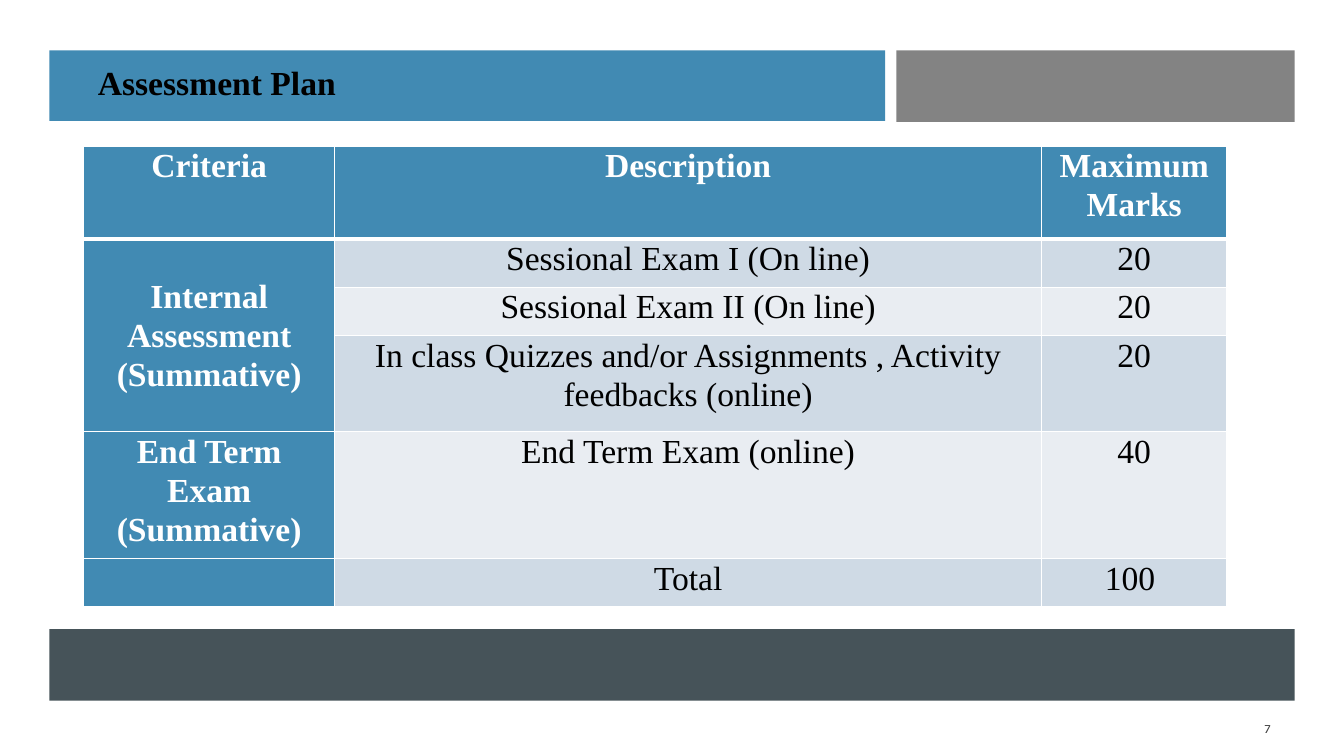
from dataclasses import dataclass

from lxml import etree
from pptx import Presentation
from pptx import util as u
from pptx.dml.color import RGBColor
from pptx.enum import shapes, text
from pptx.oxml import ns


@dataclass(frozen=True)
class Theme:
    blue: str = "418AB3"
    gray: str = "838383"
    slate: str = "465359"
    band: str = "CFDAE5"
    pale: str = "E9EDF2"
    white: str = "FFFFFF"
    black: str = "000000"
    ink: str = "404040"
    serif: str = "Times New Roman"
    sans: str = "Karla"
    main: int = 24
    small: int = 9


@dataclass(frozen=True)
class Bar:
    left: float
    top: float
    width: float
    height: float
    fill: str


@dataclass(frozen=True)
class Row:
    height: float
    label: str
    detail: str
    marks: str


T = Theme()
BARS = [
    Bar(0.49, 0.5, 8.29, 0.7, T.blue),
    Bar(8.89, 0.5, 3.95, 0.71, T.gray),
    Bar(0.49, 6.24, 12.35, 0.71, T.slate),
]
ROWS = [
    Row(0.92, "Criteria", "Description", "Maximum Marks"),
    Row(0.48, "Internal Assessment\v(Summative)", "Sessional Exam I (On line)", "20"),
    Row(0.48, "", "Sessional Exam II (On line)", "20"),
    Row(0.95, "", "In class Quizzes and/or Assignments , Activity feedbacks (online)", "20"),
    Row(0.95, "End Term Exam\n(Summative)", "End Term Exam (online)", "40"),
    Row(0.48, "", "Total", "100 "),
]
COLS = [2.49, 7.01, 1.84]


def apply(obj, vals: dict) -> None:
    for name, val in vals.items():
        setattr(obj, name, val)


def paint(fill, color: str) -> None:
    fill.solid()
    fill.fore_color.rgb = RGBColor.from_string(color)


def style(frame, face: str, size: int, color: str, bold: bool, align, space: float = 1.0) -> None:
    for para in frame.paragraphs:
        apply(para, {"alignment": align, "line_spacing": space})
        for run in para.runs:
            apply(run.font, {"name": face, "size": u.Pt(size), "bold": bold})
            run.font.color.rgb = RGBColor.from_string(color)


def place(shape, left: float, top: float, width: float, height: float) -> None:
    box = {"left": left, "top": top, "width": width, "height": height}
    apply(shape, {name: u.Inches(val) for name, val in box.items()})


def border(cell, widths: dict[str, int]) -> None:
    props = cell._tc.get_or_add_tcPr()
    for spot, (side, width) in enumerate(widths.items()):
        line = etree.Element(ns.qn(f"a:ln{side}"), w=str(u.Pt(width)))
        solid = etree.SubElement(line, ns.qn("a:solidFill"))
        etree.SubElement(solid, ns.qn("a:srgbClr"), val=T.white)
        props.insert(spot, line)


def draw_bar(slide, bar: Bar) -> None:
    shape = slide.shapes.add_shape(
        shapes.MSO_SHAPE.RECTANGLE,
        *(u.Inches(n) for n in (bar.left, bar.top, bar.width, bar.height)))
    shape.shadow.inherit = False
    paint(shape.fill, bar.fill)
    shape.line.fill.background()


def draw_cell(cell, words: str, row: int, col: int) -> None:
    head = row == 0 or col == 0
    side = u.Inches(0.07)
    apply(cell, {"margin_left": side, "margin_right": side, "margin_top": 0,
                 "margin_bottom": 0, "vertical_anchor": text.MSO_ANCHOR.TOP})
    cell.text_frame.text = words
    style(cell.text_frame, T.serif, T.main, T.white if head else T.black,
          head, text.PP_ALIGN.CENTER, 1.05)
    paint(cell.fill, T.blue if head else T.band if row % 2 else T.pale)
    border(cell, {"L": 1, "R": 1, "T": 3 if row == 1 else 1, "B": 3 if row == 0 else 1})


def draw_table(slide, rows: list[Row]) -> None:
    sizes = (0.83, 1.45, sum(COLS), sum(r.height for r in rows))
    grid = slide.shapes.add_table(len(rows), len(COLS), *(u.Inches(n) for n in sizes)).table
    for col, width in zip(grid.columns, COLS):
        col.width = u.Inches(width)
    for r, row in enumerate(rows):
        grid.rows[r].height = u.Inches(row.height)
        for c, words in enumerate((row.label, row.detail, row.marks)):
            draw_cell(grid.cell(r, c), words, r, c)
    # Internal assessment covers three rows
    group = grid.cell(1, 0)
    group.merge(grid.cell(3, 0))
    group.vertical_anchor = text.MSO_ANCHOR.MIDDLE


def draw_title(slide, words: str) -> None:
    title = slide.shapes.title
    place(title, 0.87, 0.56, 2.59, 0.5)
    frame = title.text_frame
    frame.text = words
    apply(frame, {"word_wrap": False, "vertical_anchor": text.MSO_ANCHOR.TOP,
                  "auto_size": text.MSO_AUTO_SIZE.SHAPE_TO_FIT_TEXT})
    style(frame, T.serif, T.main, T.black, True, text.PP_ALIGN.LEFT)
    # Bring the title in front of its bar
    title._element.getparent().append(title._element)


def draw_number(slide, words: str) -> None:
    box = slide.shapes.add_textbox(*(u.Inches(n) for n in (11.55, 7.03, 1.15, 0.4)))
    frame = box.text_frame
    frame.text = words
    apply(frame, {"word_wrap": True, "vertical_anchor": text.MSO_ANCHOR.MIDDLE})
    style(frame, T.sans, T.small, T.ink, False, text.PP_ALIGN.RIGHT)


# Slide
deck = Presentation()
apply(deck, {"slide_width": u.Inches(13.33), "slide_height": u.Inches(7.5)})
slide = deck.slides.add_slide(deck.slide_layouts.get_by_name("Title Only"))
paint(slide.background.fill, T.white)

# Content
for bar in BARS:
    draw_bar(slide, bar)
draw_number(slide, "7")
draw_table(slide, ROWS)
draw_title(slide, "Assessment Plan")

deck.save("out.pptx")
